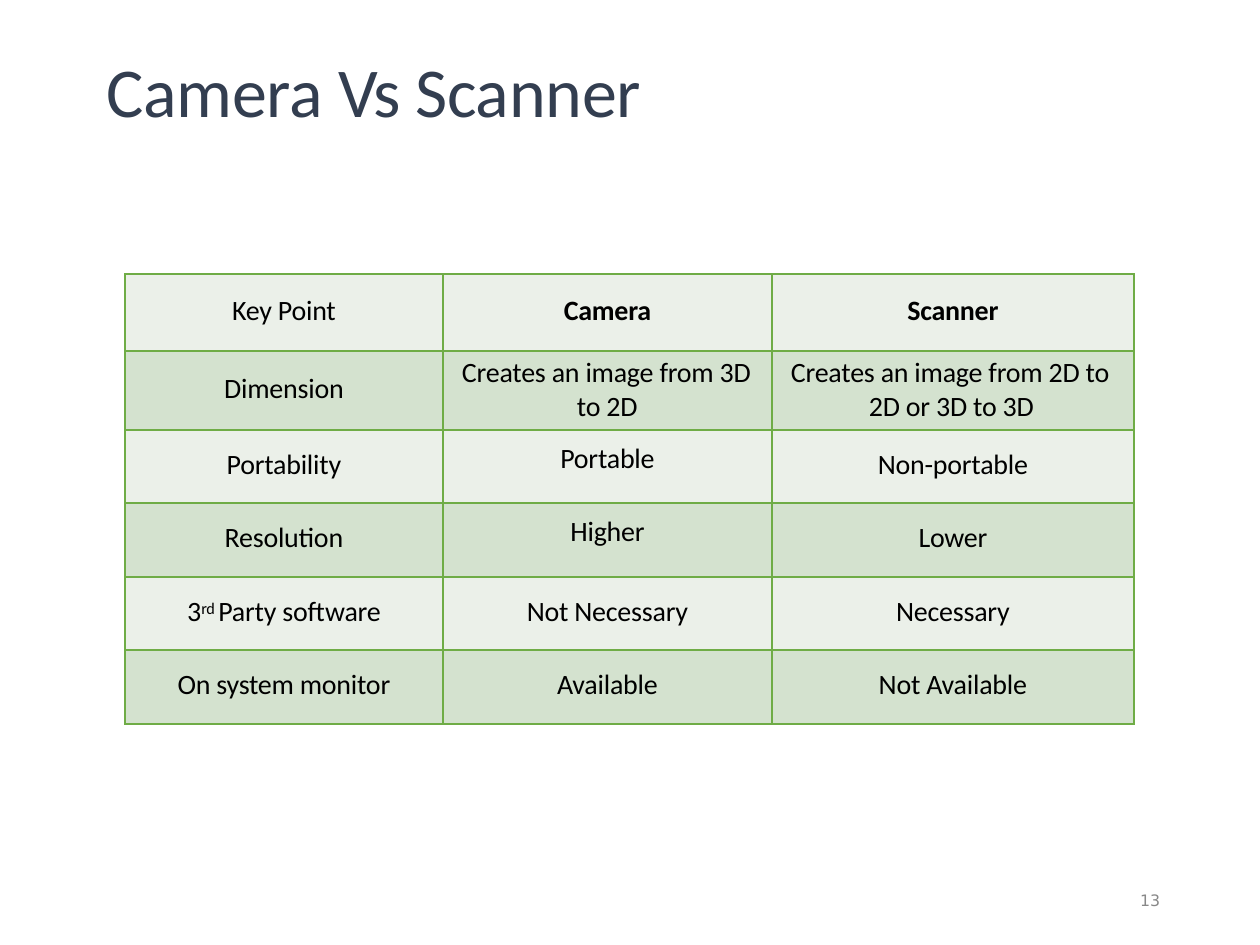
import pptx
import pptx.dml.color
import pptx.enum.text
import pptx.oxml.ns
import pptx.util
from lxml import etree

COLORS = {
    "title": "333E50", "number": "888888", "text": "000000",
    "border": "6FAC46", "light": "EBF0E9", "dark": "D4E2CF",
}
PX = 914400 // 126  # one px in EMU

# Runs are (text, letter spacing in hundredths of a point, baseline in thousandths of a percent).
TITLE = [("Camera ", -10, 0), ("Vs ", -90, 0), ("Scanner", -10, 0)]
PAGE_NUMBER = [("13", 0, 0)]
ORDINAL_LABEL = [("3", -10, 0), ("rd ", -10, 26000), ("Party software", -10, 0)]

ROWS = [
    ["Key Point", "Camera", "Scanner"],
    ["Dimension", "Creates an image from 3D to 2D", "Creates an image from 2D to 2D or 3D to 3D"],
    ["Portability", "Portable", "Non-portable"],
    ["Resolution", "Higher", "Lower"],
    [ORDINAL_LABEL, "Not Necessary", "Necessary"],
    ["On system monitor", "Available", "Not Available"],
]
COLUMN_WIDTHS = [318, 329, 362]
ROW_HEIGHTS = [77, 79, 73, 74, 73, 74]
TOP_MARGINS = [20, 21, 18, 18, 18, 18]
# Cells that differ from their row: (row, column) -> top margin
CELL_MARGINS = {(1, 1): 5, (1, 2): 5, (2, 1): 12, (3, 1): 12}
# Left-aligned cells with a wrapped line: (row, column) -> left margin, first-line indent
HANGING_INDENTS = {(1, 1): (134, -115), (1, 2): (97, -78)}


def px(value):
    return pptx.util.Emu(value * PX)


def rgb(name):
    return pptx.dml.color.RGBColor.from_string(COLORS[name])


def indent(paragraph, left, first):
    properties = paragraph._p.get_or_add_pPr()
    properties.set("marL", str(px(left)))
    properties.set("indent", str(px(first)))


def write(text_frame, runs, font_name, size, color, bold=False):
    paragraph = text_frame.paragraphs[0]
    for text, spacing, baseline in runs:
        run = paragraph.add_run()
        run.text = text
        properties = run._r.get_or_add_rPr()
        if spacing:
            properties.set("spc", str(spacing))
        if baseline:
            properties.set("baseline", str(baseline))
    font = paragraph.font
    font.name, font.size, font.bold = font_name, pptx.util.Pt(size), bold
    font.color.rgb = rgb(color)
    return paragraph


def add_text(slide, box, runs, font_name, size, color):
    text_frame = slide.shapes.add_textbox(*map(px, box)).text_frame
    text_frame.word_wrap = True
    text_frame.margin_left = text_frame.margin_right = text_frame.margin_bottom = 0
    text_frame.margin_top = px(1)
    return write(text_frame, runs, font_name, size, color)


def add_borders(cell):
    properties = cell._tc.get_or_add_tcPr()
    for side in ("lnL", "lnR", "lnT", "lnB"):
        line = etree.SubElement(properties, pptx.oxml.ns.qn(f"a:{side}"), w=str(pptx.util.Pt(1)))
        fill = etree.SubElement(line, pptx.oxml.ns.qn("a:solidFill"))
        etree.SubElement(fill, pptx.oxml.ns.qn("a:srgbClr"), val=COLORS["border"])


def add_comparison(slide, left, top):
    table = slide.shapes.add_table(
        len(ROWS), len(COLUMN_WIDTHS), px(left), px(top),
        px(sum(COLUMN_WIDTHS)), px(sum(ROW_HEIGHTS))).table
    table.first_row = table.horz_banding = False
    for column, width in zip(table.columns, COLUMN_WIDTHS):
        column.width = px(width)
    for row, height in zip(table.rows, ROW_HEIGHTS):
        row.height = px(height)
    for r, contents in enumerate(ROWS):
        for c, content in enumerate(contents):
            cell = table.cell(r, c)
            cell.margin_left = cell.margin_right = cell.margin_bottom = 0
            cell.margin_top = px(CELL_MARGINS.get((r, c), TOP_MARGINS[r]))
            add_borders(cell)
            cell.fill.solid()
            cell.fill.fore_color.rgb = rgb("dark" if r % 2 else "light")
            runs = [(content, -10, 0)] if isinstance(content, str) else content
            paragraph = write(cell.text_frame, runs, "Calibri", 16, "text", bold=r == 0 and c > 0)
            if (r, c) in HANGING_INDENTS:
                indent(paragraph, *HANGING_INDENTS[r, c])
            else:
                paragraph.alignment = pptx.enum.text.PP_ALIGN.CENTER


def main():
    presentation = pptx.Presentation()
    presentation.slide_width = pptx.util.Inches(10)
    presentation.slide_height = pptx.util.Inches(7.5)
    slide = presentation.slides.add_slide(presentation.slide_layouts[6])
    add_text(slide, (106, 47, 539, 88), TITLE, "Calibri", 40, "title")
    number = add_text(slide, (1135, 890, 30, 23), PAGE_NUMBER, "DejaVu Sans", 9, "number")
    indent(number, 5, 0)
    add_comparison(slide, 125, 274)
    presentation.save("out.pptx")


if __name__ == "__main__":
    main()
